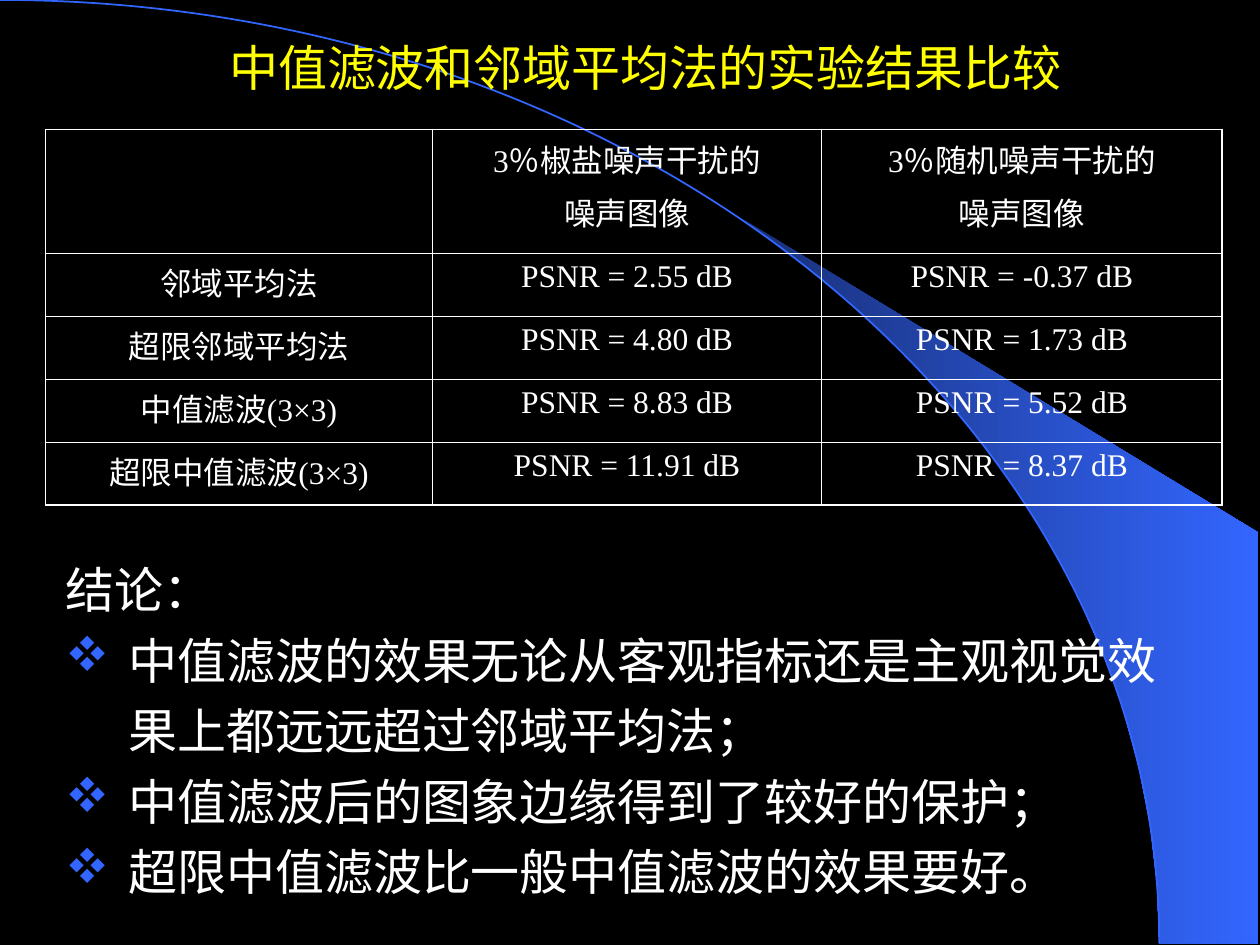
import math
from collections import namedtuple

from lxml import etree
from pptx import Presentation
from pptx.dml.color import RGBColor
from pptx.enum.text import MSO_ANCHOR, PP_ALIGN
from pptx.oxml.ns import qn
from pptx.util import Cm, Pt

CENTER = PP_ALIGN.CENTER
LEFT = PP_ALIGN.LEFT
TOP = MSO_ANCHOR.TOP

COLORS = {
    "background": "000000",
    "text": "FFFFFF",
    "title": "FFFF00",
    "accent": "3366FF",
    "accent_dark": "182F76",
}
CHINESE_FONT = "Noto Sans CJK JP"
LATIN_FONT = "Times New Roman"
THIN, THICK = 0.45, 1.08
QUARTER_CURVE = 0.55

Box = namedtuple("Box", "left top width height")

TITLE = "中值滤波和邻域平均法的实验结果比较 "
ROWS = [
    ["", "3％椒盐噪声干扰的\n噪声图像", "3％随机噪声干扰的\n噪声图像"],
    ["邻域平均法", "PSNR = 2.55 dB", "PSNR = -0.37 dB"],
    ["超限邻域平均法", "PSNR = 4.80 dB", "PSNR = 1.73 dB"],
    ["中值滤波(3×3)", "PSNR = 8.83 dB", "PSNR = 5.52 dB"],
    ["超限中值滤波(3×3)", "PSNR = 11.91 dB", "PSNR = 8.37 dB"],
]
COLUMN_WIDTHS = [7.8, 7.84, 8.08]
ROW_HEIGHTS = [2.49, 1.27, 1.27, 1.27, 1.27]
CONCLUSION_HEADING = "结论："
CONCLUSIONS = [
    "中值滤波的效果无论从客观指标还是主观视觉效果上都远远超过邻域平均法；",
    "中值滤波后的图象边缘得到了较好的保护；",
    "超限中值滤波比一般中值滤波的效果要好。",
]


def color(name):
    return RGBColor.from_string(COLORS[name])


def add_run(paragraph, text, size, color_name, latin_font):
    run = paragraph.add_run()
    run.text = text
    run.font.size = Pt(size)
    run.font.name = latin_font
    run.font.color.rgb = color(color_name)
    east_asian = etree.SubElement(run.font._element, qn("a:ea"))
    east_asian.set("typeface", CHINESE_FONT)


def add_text_frame(slide, box):
    shape = slide.shapes.add_textbox(*map(Cm, box))
    shape.text_frame.word_wrap = True
    return shape.text_frame


def arc_points(box, start, end, steps):
    angles = [math.radians(start + (end - start) * i / steps) for i in range(steps + 1)]
    return [
        (
            Cm(box.left + box.width * math.sin(angle)),
            Cm(box.top + box.height * (1 - math.cos(angle))),
        )
        for angle in angles
    ]


def add_outline(slide, points, close):
    builder = slide.shapes.build_freeform(*points[0])
    builder.add_line_segments(points[1:], close=close)
    shape = builder.convert_to_shape()
    shape.shadow.inherit = False
    return shape


def bend_to_quarter_ellipse(shape):
    line = next(shape._element.iter(qn("a:lnTo")))
    curve = etree.Element(qn("a:cubicBezTo"))
    width, height = shape.width, shape.height
    for x, y in (
        (width * QUARTER_CURVE, 0),
        (width, height * (1 - QUARTER_CURVE)),
        (width, height),
    ):
        etree.SubElement(curve, qn("a:pt"), x=str(int(x)), y=str(int(y)))
    line.getparent().replace(line, curve)


def add_background(slide, box, right_edge, wedge_top):
    fill = slide.background.fill
    fill.solid()
    fill.fore_color.rgb = color("background")

    bottom = box.top + box.height
    corners = [(Cm(right_edge), Cm(bottom)), (Cm(right_edge), Cm(wedge_top))]
    wedge = add_outline(slide, arc_points(box, 39.8, 90, 14) + corners, True)
    wedge.line.fill.background()
    wedge.fill.gradient()
    wedge.fill.gradient_angle = 0
    for stop, position, name in zip(
        wedge.fill.gradient_stops, (0, 1), ("accent_dark", "accent")
    ):
        stop.position = position
        stop.color.rgb = color(name)

    arc = add_outline(slide, arc_points(box, 0, 90, 1), False)
    bend_to_quarter_ellipse(arc)
    arc.fill.background()
    arc.line.color.rgb = color("accent")
    arc.line.width = Pt(1)


def add_title(slide, box):
    paragraph = add_text_frame(slide, box).paragraphs[0]
    paragraph.alignment = CENTER
    add_run(paragraph, TITLE, 28, "title", CHINESE_FONT)


def set_borders(cell, widths):
    properties = cell._tc.get_or_add_tcPr()
    for position, (side, width) in enumerate(widths.items()):
        line = etree.Element(qn(f"a:{side}"), w=str(int(Pt(width))))
        fill = etree.SubElement(line, qn("a:solidFill"))
        etree.SubElement(fill, qn("a:srgbClr"), val=COLORS["text"])
        properties.insert(position, line)


def add_results_table(slide, box):
    row_count, column_count = len(ROWS), len(COLUMN_WIDTHS)
    frame = slide.shapes.add_table(row_count, column_count, *map(Cm, box))
    table = frame.table
    table.first_row = False
    table.horz_banding = False
    for column, width in zip(table.columns, COLUMN_WIDTHS):
        column.width = Cm(width)
    for row, height in zip(table.rows, ROW_HEIGHTS):
        row.height = Cm(height)
    for i, texts in enumerate(ROWS):
        for j, text in enumerate(texts):
            cell = table.cell(i, j)
            cell.fill.background()
            cell.vertical_anchor = TOP
            set_borders(cell, {
                "lnL": THICK if j == 0 else THIN,
                "lnR": THICK if j == column_count - 1 else THIN,
                "lnT": THICK if i == 0 else THIN,
                "lnB": THICK if i == row_count - 1 else THIN,
            })
            for k, line in enumerate(text.split("\n") if text else []):
                text_frame = cell.text_frame
                paragraph = text_frame.add_paragraph() if k else text_frame.paragraphs[0]
                paragraph.alignment = CENTER
                if k:
                    paragraph.space_before = Pt(4.5)
                add_run(paragraph, line, 18, "text", LATIN_FONT)


def add_bullet(paragraph):
    properties = paragraph._p.get_or_add_pPr()
    bullet_color = etree.SubElement(properties, qn("a:buClr"))
    etree.SubElement(bullet_color, qn("a:srgbClr"), val=COLORS["accent"])
    etree.SubElement(properties, qn("a:buFont"), typeface="Wingdings", charset="2")
    etree.SubElement(properties, qn("a:buChar"), char="v")


def add_conclusions(slide, box):
    text_frame = add_text_frame(slide, box)
    for i, text in enumerate([CONCLUSION_HEADING] + CONCLUSIONS):
        paragraph = text_frame.add_paragraph() if i else text_frame.paragraphs[0]
        paragraph.alignment = LEFT
        properties = paragraph._p.get_or_add_pPr()
        properties.set("marL", str(Cm(1.27)))
        properties.set("indent", str(-Cm(1.27)))
        if i:
            add_bullet(paragraph)
        paragraph.line_spacing = 1.2
        add_run(paragraph, text, 28, "text", LATIN_FONT)


def main():
    presentation = Presentation()
    presentation.slide_width = Cm(25.4)
    presentation.slide_height = Cm(19.05)
    slide = presentation.slides.add_slide(presentation.slide_layouts[6])
    add_background(slide, Box(0, 0, 23.37, 19.02), 25.37, 10.74)
    add_title(slide, Box(1.47, 0.64, 23.29, 1.45))
    add_conclusions(slide, Box(1.07, 10.92, 23.29, 7.37))
    add_results_table(slide, Box(0.92, 2.61, sum(COLUMN_WIDTHS), sum(ROW_HEIGHTS)))
    presentation.save("out.pptx")


if __name__ == "__main__":
    main()
